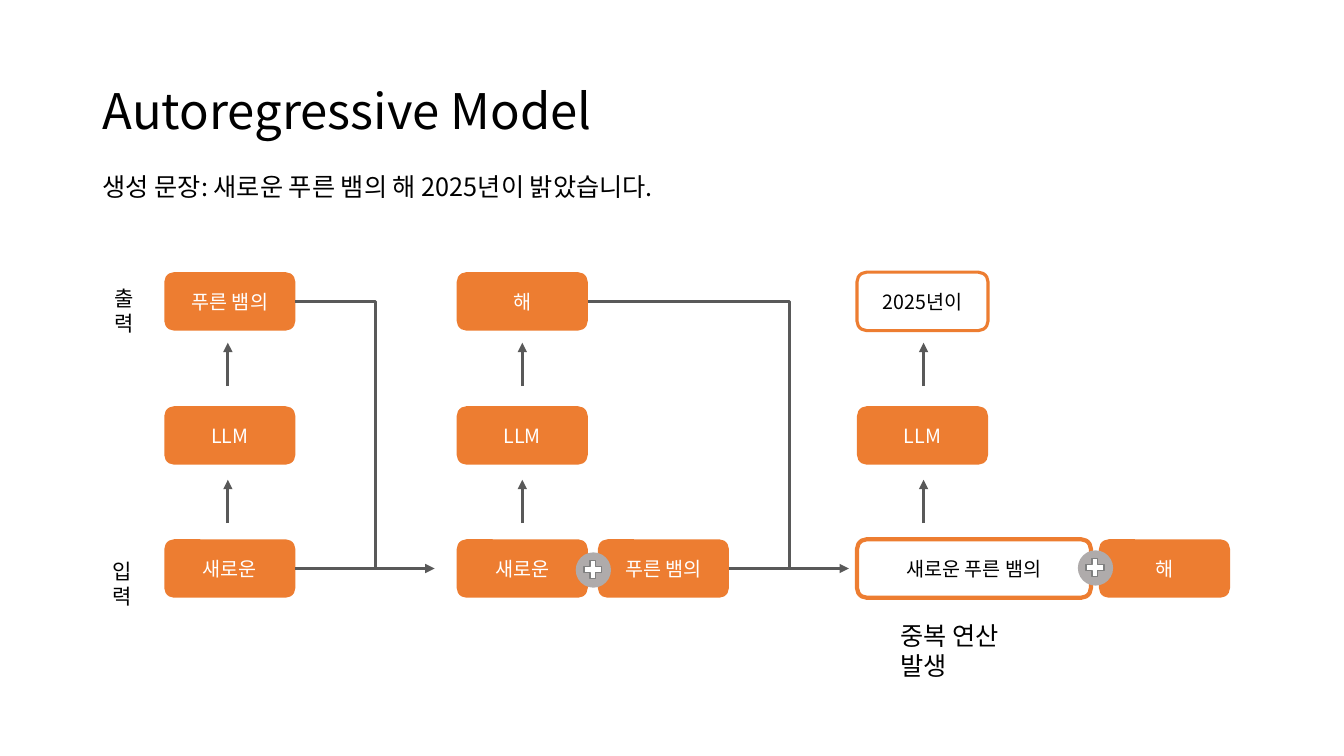
from pptx import Presentation
from pptx.dml.color import RGBColor
from pptx.enum import shapes, text
from pptx.oxml import parse_xml
from pptx.oxml.ns import nsdecls, qn
from pptx.util import Inches, Pt

FONT = "Noto Sans CJK KR"
COLORS = {k: RGBColor.from_string(v) for k, v in {
    "orange": "ED7D31", "white": "FFFFFF", "black": "000000",
    "arrow": "595959", "badge": "AFABAB", "plus": "808080"}.items()}

prs = Presentation()
prs.slide_width, prs.slide_height = Inches(13.33), Inches(7.5)
s = prs.slides.add_slide(prs.slide_layouts[6])


def write(sp, words, size, color="black"):
    tf = sp.text_frame
    tf.word_wrap = True
    p = tf.paragraphs[0]
    r = p.add_run()
    r.text = words
    r.font.size, r.font.name = Pt(size), FONT
    r.font.color.rgb = COLORS[color]
    # East Asian text uses the same font
    r.font._element.append(parse_xml(f'<a:ea {nsdecls("a")} typeface="{FONT}"/>'))
    return p


def connect(kind, x1, y1, x2, y2, arrow=True):
    c = s.shapes.add_connector(kind, Inches(x1), Inches(y1), Inches(x2), Inches(y2))
    c.line.color.rgb, c.line.width = COLORS["arrow"], Pt(2.25)
    if arrow:
        c.line._get_or_add_ln().append(parse_xml(f'<a:tailEnd {nsdecls("a")} type="triangle"/>'))
    c._element.spPr.append(parse_xml(f'<a:effectLst {nsdecls("a")}/>'))
    return c


# Title
sp = s.shapes.add_textbox(Inches(0.92), Inches(0.4), Inches(11.5), Inches(1.45))
sp.text_frame.vertical_anchor = text.MSO_ANCHOR.MIDDLE
write(sp, "Autoregressive Model", 35).line_spacing = 0.9

# Sentence, row labels and remark
for words, size, x, y, w, h in [
        ("생성 문장: 새로운 푸른 뱀의 해 2025년이 밝았습니다.", 18, 0.92, 1.65, 5.64, 0.4),
        ("출력", 15, 1.04, 2.78, 0.57, 0.35),
        ("입력", 15, 1.02, 5.49, 0.57, 0.35),
        ("중복 연산 발생", 18, 8.83, 6.1, 1.67, 0.4)]:
    sp = s.shapes.add_textbox(Inches(x), Inches(y), Inches(w), Inches(h))
    write(sp, words, size)

# Boxes: one column per generation step; an outline width marks a white box
TOP, MIDDLE, BOTTOM = 2.7, 4.03, 5.35
BOX_W, BOX_H = 1.3, 0.58
STEPS = [1.63, 4.53, 8.5]
boxes = {}
for words, x, y, w, outline in [
        ("푸른 뱀의", STEPS[0], TOP, BOX_W, 0),
        ("새로운", STEPS[0], BOTTOM, BOX_W, 0),
        ("해", STEPS[1], TOP, BOX_W, 0),
        ("새로운", STEPS[1], BOTTOM, BOX_W, 0),
        ("푸른 뱀의", 5.93, BOTTOM, BOX_W, 0),
        ("2025년이", STEPS[2], TOP, BOX_W, 2.25),
        ("새로운 푸른 뱀의", STEPS[2], BOTTOM, 2.32, 3),
        ("해", 10.9, BOTTOM, BOX_W, 0),
        *[("LLM", x, MIDDLE, BOX_W, 0) for x in STEPS]]:
    sp = s.shapes.add_shape(shapes.MSO_SHAPE.ROUNDED_RECTANGLE,
                            Inches(x), Inches(y), Inches(w), Inches(BOX_H))
    sp.shadow.inherit = False
    sp.fill.solid()
    sp.fill.fore_color.rgb = COLORS["white" if outline else "orange"]
    if outline:
        sp.line.color.rgb, sp.line.width = COLORS["orange"], Pt(outline)
    else:
        sp.line.fill.background()
    sp.text_frame.vertical_anchor = text.MSO_ANCHOR.MIDDLE
    write(sp, words, 14, "black" if outline else "white").alignment = text.PP_ALIGN.CENTER
    boxes[x, y] = sp

# Upward arrows within each step
for x in [2.26, 5.18, 9.16]:
    for y in [5.19, 3.83]:
        connect(shapes.MSO_CONNECTOR.STRAIGHT, x, y, x, y - 0.43)

# Plus badges between joined inputs
for x, y in [(5.71, 5.48), (10.69, 5.46)]:
    for shape, inset, size, fill in [
            (shapes.MSO_SHAPE.OVAL, 0, 0.35, "badge"),
            (shapes.MSO_SHAPE.MATH_PLUS, 0.05, 0.24, "white")]:
        sp = s.shapes.add_shape(shape, Inches(x + inset), Inches(y + inset),
                                Inches(size), Inches(size))
        sp.shadow.inherit = False
        sp.fill.solid()
        sp.fill.fore_color.rgb = COLORS[fill]
        if fill == "badge":
            sp.line.fill.background()
        else:
            sp.line.color.rgb, sp.line.width = COLORS["plus"], Pt(1)

# Each output feeds the next input
Y_OUT, Y_IN = TOP + BOX_H / 2, BOTTOM + BOX_H / 2
for x_in, x_next, x_out, x_turn in [(STEPS[0], 4.31, STEPS[0], 3.72),
                                    (5.93, 8.42, STEPS[1], 7.83)]:
    c = connect(shapes.MSO_CONNECTOR.STRAIGHT, x_in + BOX_W, Y_IN, x_next, Y_IN)
    c.begin_connect(boxes[x_in, BOTTOM], 3)
    c = connect(shapes.MSO_CONNECTOR.ELBOW, x_out + BOX_W, Y_OUT, x_turn, Y_IN, arrow=False)
    c._element.spPr.find(qn("a:prstGeom")).set("prst", "bentConnector2")

prs.save("out.pptx")
